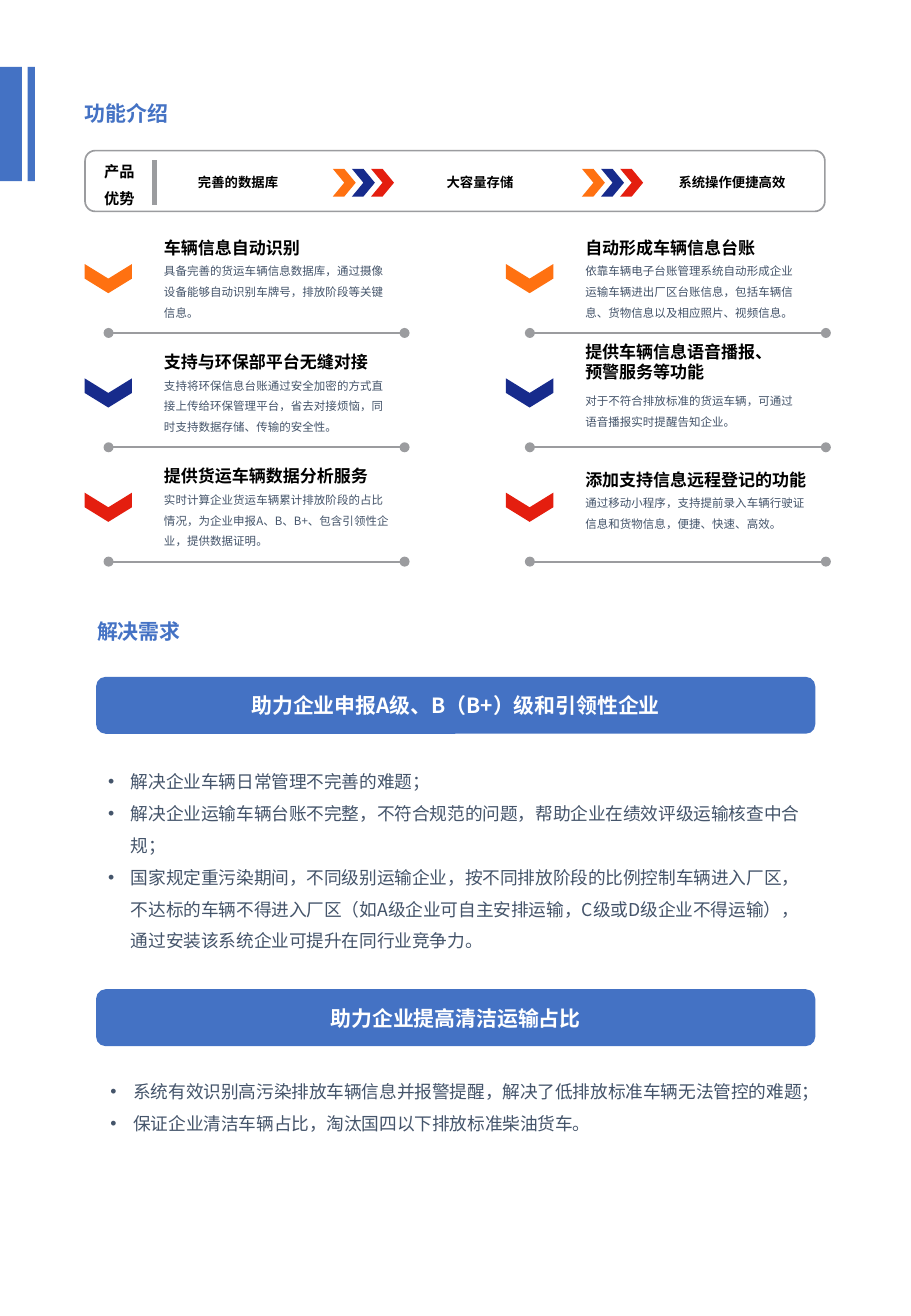
from dataclasses import dataclass

from lxml import etree
from pptx import Presentation
from pptx import util as u
from pptx.dml.color import RGBColor
from pptx.enum import shapes, text
from pptx.oxml import ns

Cm, Pt = u.Cm, u.Pt
KIND = shapes.MSO_SHAPE


@dataclass(frozen=True)
class Theme:
    font: str = "Noto Sans CJK SC"
    blue: str = "4472C4"
    white: str = "FFFFFF"
    black: str = "000000"
    slate: str = "44546A"
    gray: str = "9B9C9F"
    trio: tuple = ("FF7111", "172B8C", "E41E0F")
    head: float = 12.4
    item: float = 10.1
    note: float = 6.8
    label: float = 7.9
    tag: float = 9
    list: float = 10.5


T = Theme()

# Feature grid: one list per column, each entry is heading and detail
FEATS = [
    [("车辆信息自动识别",
      "具备完善的货运车辆信息数据库，通过摄像设备能够自动识别车牌号，排放阶段等关键信息。"),
     ("支持与环保部平台无缝对接",
      "支持将环保信息台账通过安全加密的方式直接上传给环保管理平台，省去对接烦恼，同时支持数据存储、传输的安全性。"),
     ("提供货运车辆数据分析服务",
      "实时计算企业货运车辆累计排放阶段的占比情况，为企业申报A、B、B+、包含引领性企业，提供数据证明。")],
    [("自动形成车辆信息台账",
      "依靠车辆电子台账管理系统自动形成企业运输车辆进出厂区台账信息，包括车辆信息、货物信息以及相应照片、视频信息。"),
     ("提供车辆信息语音播报、\v预警服务等功能",
      "对于不符合排放标准的货运车辆，可通过语音播报实时提醒告知企业。"),
     ("添加支持信息远程登记的功能",
      "通过移动小程序，支持提前录入车辆行驶证信息和货物信息，便捷、快速、高效。")],
]

# Needs: banner, banner top, list left, list top, list height, points
NEEDS = [
    ("助力企业申报A级、B（B+）级和引领性企业", 14.15, 2.01, 15.77, 4.22,
     ["解决企业车辆日常管理不完善的难题；",
      "解决企业运输车辆台账不完整，不符合规范的问题，帮助企业在绩效评级运输核查中合规；",
      "国家规定重污染期间，不同级别运输企业，按不同排放阶段的比例控制车辆进入厂区，"
      "不达标的车辆不得进入厂区（如A级企业可自主安排运输，C级或D级企业不得运输），"
      "通过安装该系统企业可提升在同行业竞争力。"]),
    ("助力企业提高清洁运输占比", 20.68, 2.06, 22.25, 2.87,
     ["系统有效识别高污染排放车辆信息并报警提醒，解决了低排放标准车辆无法管控的难题；",
      "保证企业清洁车辆占比，淘汰国四以下排放标准柴油货车。"]),
]

LABELS = [("完善的数据库", 3.89, 2.29), ("大容量存储", 9.09, 2.08),
          ("系统操作便捷高效", 13.94, 2.82)]


def write(frame, words, size, color=T.black, bold=False, space=1.0,
          after=0, align=text.PP_ALIGN.LEFT, bullet=False):
    """Add one formatted paragraph to a text frame."""
    para = frame.add_paragraph() if frame.text else frame.paragraphs[0]
    para.text = words
    para.alignment = align
    para.line_spacing = space
    para.space_before = Pt(0)
    para.space_after = Pt(after)
    if bullet:
        props = para._p.get_or_add_pPr()
        props.set("marL", str(Cm(0.48)))
        props.set("indent", str(-Cm(0.48)))
        etree.SubElement(props, ns.qn("a:buFont")).set("typeface", "Arial")
        etree.SubElement(props, ns.qn("a:buChar")).set("char", "•")
    for run in para.runs:
        font = run.font
        font.size, font.bold, font.name = Pt(size), bold, T.font
        font.color.rgb = RGBColor.from_string(color)
        east = etree.SubElement(run._r.get_or_add_rPr(), ns.qn("a:ea"))
        east.set("typeface", T.font)


def box(slide, x, y, w, h, wrap=True):
    frame = slide.shapes.add_textbox(Cm(x), Cm(y), Cm(w), Cm(h)).text_frame
    frame.word_wrap = wrap
    return frame


def block(slide, kind, x, y, w, h, fill, line=None, turn=0):
    shape = slide.shapes.add_shape(kind, Cm(x), Cm(y), Cm(w), Cm(h))
    shape.shadow.inherit = False
    shape.rotation = turn
    shape.fill.solid()
    shape.fill.fore_color.rgb = RGBColor.from_string(fill)
    if line:
        shape.line.color.rgb = RGBColor.from_string(line)
        shape.line.width = Pt(1)
    else:
        shape.line.fill.background()
    return shape


def rule(slide, x1, y1, x2, y2, width, dots=False):
    line = slide.shapes.add_connector(
        shapes.MSO_CONNECTOR.STRAIGHT, Cm(x1), Cm(y1), Cm(x2), Cm(y2))
    line.line.color.rgb = RGBColor.from_string(T.gray)
    line.line.width = Pt(width)
    if dots:
        for end in ("a:headEnd", "a:tailEnd"):
            etree.SubElement(line.line._ln, ns.qn(end)).set("type", "oval")
    etree.SubElement(line._element.spPr, ns.qn("a:effectLst"))


def title(slide):
    shape = slide.shapes.title
    shape.left, shape.top, shape.width, shape.height = (
        Cm(1.52), Cm(1.98), Cm(3.66), Cm(0.84))
    heading(shape.text_frame, "功能介绍")


def heading(frame, words):
    frame.auto_size = text.MSO_AUTO_SIZE.NONE
    frame.vertical_anchor = text.MSO_ANCHOR.MIDDLE
    write(frame, words, T.head, T.blue, bold=True, space=0.9)


def strip(slide):
    """Framed row of product strengths."""
    block(slide, KIND.ROUNDED_RECTANGLE, 1.78, 3.15, 15.47, 1.27,
          T.white, line=T.gray)
    tag = box(slide, 1.93, 3.07, 1.22, 1.35)
    for word in ("产品", "优势"):
        write(tag, word, T.tag, bold=True, space=1.5)
    rule(slide, 3.23, 3.35, 3.23, 4.29, 3)
    for words, x, w in LABELS:
        write(box(slide, x, 3.51, w, 0.58, wrap=False), words, T.label, bold=True)
    for x in (6.96, 12.17):
        for i, color in enumerate(T.trio):
            block(slide, KIND.CHEVRON, x + 0.4 * i, 3.53, 0.48, 0.58, color)


def feature(slide, col, row, head, note):
    x, y = 8.81 * col, 2.39 * row
    block(slide, KIND.CHEVRON, 1.96 + x, 5.33 + y, 0.61, 0.99,
          T.trio[row], turn=90)
    rule(slide, 2.27 + x, 6.96 + y, 8.46 + x, 6.96 + y, 1.2, dots=True)
    last = col == 1 and row == 2
    wide = 5.23 if col == 0 or last else 4.88
    frame = box(slide, 3.18 + x, 4.62 + y + (0.07 if last else 0), wide, 2.16)
    tall = "\v" in head
    write(frame, head, T.item, bold=True,
          space=1.0 if tall else 1.5, after=3 if tall else 0)
    write(frame, note, T.note, T.slate, space=1.5)


def need(slide, head, top, x, y, h, points):
    bar = block(slide, KIND.ROUNDED_RECTANGLE, 2.01, top, 15.04, 1.19, T.blue)
    bar.text_frame.vertical_anchor = text.MSO_ANCHOR.MIDDLE
    write(bar.text_frame, head, T.head, T.white, bold=True,
          align=text.PP_ALIGN.CENTER)
    frame = box(slide, x, y, 15.11, h)
    for point in points:
        write(frame, point, T.list, T.slate, space=1.5, bullet=True)


def main():
    deck = Presentation()
    deck.slide_width, deck.slide_height = Cm(19.05), Cm(27.51)
    slide = deck.slides.add_slide(deck.slide_layouts[5])

    # Edge bars and title
    for x, w in ((0, 0.46), (0.58, 0.15)):
        block(slide, KIND.RECTANGLE, x, 1.4, w, 2.39, T.blue)
    title(slide)

    # Strengths and feature grid
    strip(slide)
    for col, feats in enumerate(FEATS):
        for row, (head, note) in enumerate(feats):
            feature(slide, col, row, head, note)

    # Needs met
    heading(box(slide, 1.78, 12.8, 2.51, 0.84), "解决需求")
    for item in NEEDS:
        need(slide, *item)

    deck.save("out.pptx")


if __name__ == "__main__":
    main()
